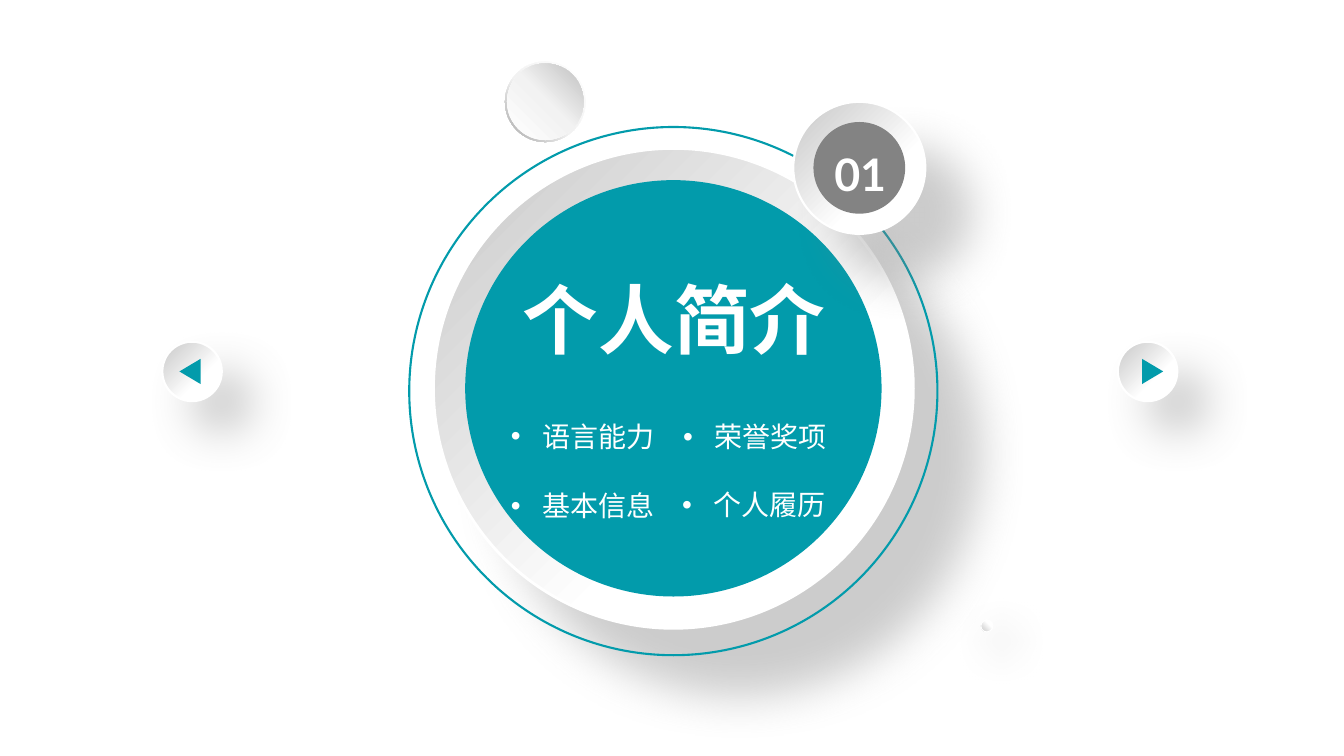
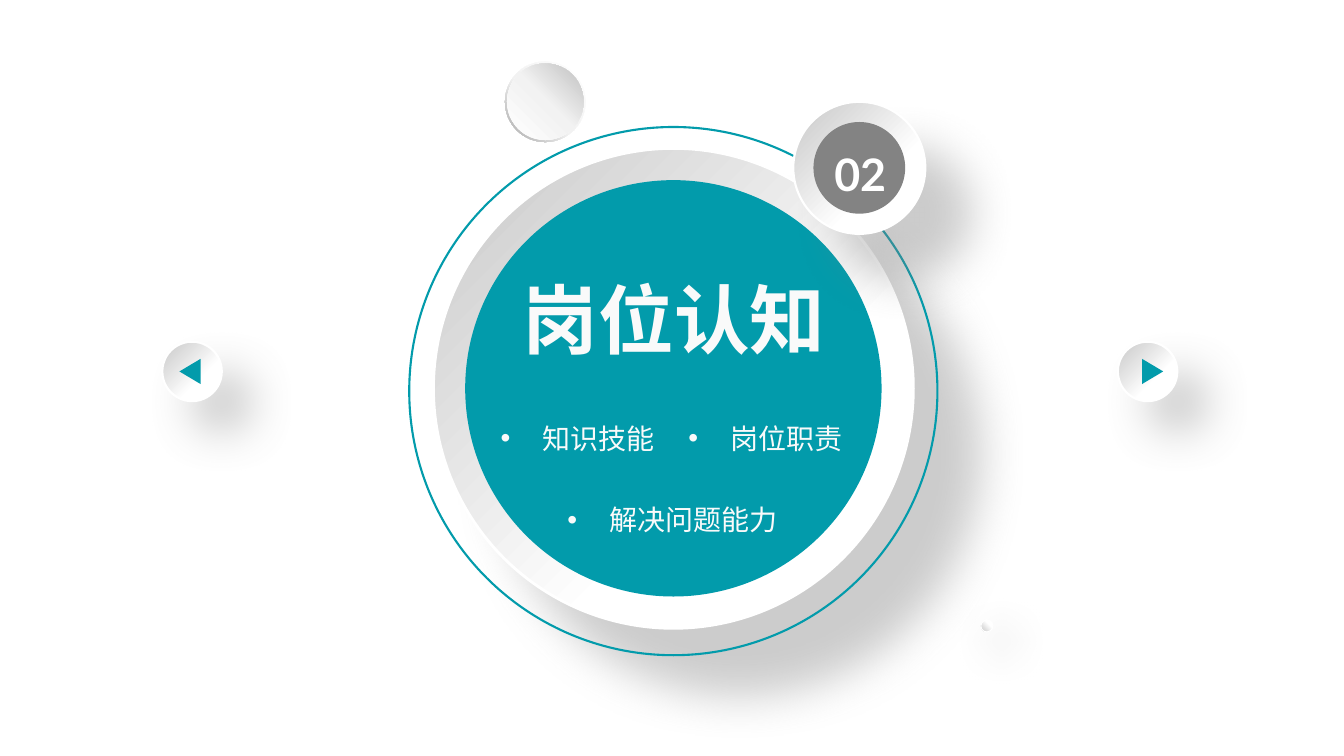
from lxml import etree
from pptx import Presentation
from pptx.dml.color import RGBColor
from pptx.enum.shapes import MSO_SHAPE
from pptx.enum.text import MSO_AUTO_SIZE, PP_ALIGN
from pptx.oxml.ns import qn
from pptx.util import Pt

ELLIPSE = MSO_SHAPE.OVAL
DONUT = MSO_SHAPE.DONUT
TRIANGLE = MSO_SHAPE.ISOSCELES_TRIANGLE
GROW = MSO_AUTO_SIZE.SHAPE_TO_FIT_TEXT

COLORS = {
    "white": "FFFFFF", "soft_white": "F9FAFA", "teal": "029BAB",
    "badge": "838383", "shade": "C7C7C7", "pale": "F2F2F2",
    "rim_shade": "A6A6A6", "bead_shade": "BFBFBF",
    "shadow": "808080", "black": "000000",
}
CJK_FONT, NUMBER_FONT = "Noto Sans CJK SC", "Lato"

# Gradient: stops as (percent, colour), then the clockwise angle
RAISED_STOPS = [(0, "white"), (36, "white"), (100, "shade")]
RAISED = (RAISED_STOPS, 225)
DOT = (RAISED_STOPS, 135)
RIM = ([(0, "white"), (55, "pale"), (100, "rim_shade")], 135)
BEAD = ([(0, "white"), (51, "pale"), (100, "bead_shade")], 315)

CENTER = (481, 277.4)
RING_CENTER = (481, 279.4)
BADGE_CENTER = (613.8, 119.9)
BEAD_CENTER = (389.5, 72.7)
DOT_CENTER = (704.9, 447.1)
BUTTON_Y = 265.3
# Button centre x, arrow centre x, arrow rotation
BUTTONS = [(137.2, 135.7, 270), (819.7, 823.3, 90)]

# Topics: text, left, top, width
SECTIONS = [
    {"number": "01", "title": "个人简介", "color": "white", "indent": 22.5,
     "topics": [("语言能力", 357.8, 296, 140), ("荣誉奖项", 480.8, 296.4, 140),
                ("基本信息", 357.8, 345.6, 140), ("个人履历", 480.2, 345, 140)]},
    {"number": "02", "title": "岗位认知", "color": "soft_white", "indent": 30,
     "topics": [("知识技能", 350.6, 297.4, 140), ("岗位职责", 484.6, 297.2, 140),
                ("解决问题能力", 398.2, 355.7, 166)]},
]


def rgb(name):
    return RGBColor.from_string(COLORS[name])


def add_xml(parent, tag, **attributes):
    values = {key: str(value) for key, value in attributes.items()}
    return etree.SubElement(parent, qn(tag), values)


def apply_gradient(shape, stops, angle):
    shape.fill.gradient()
    shape.fill.gradient_angle = 360 - angle
    stop_list = shape.element.spPr.find(qn("a:gradFill")).find(qn("a:gsLst"))
    for old_stop in list(stop_list):
        stop_list.remove(old_stop)
    for percent, color in stops:
        stop = add_xml(stop_list, "a:gs", pos=percent * 1000)
        add_xml(stop, "a:srgbClr", val=COLORS[color])


def apply_shadow(shape, distance, color="shadow", alpha=40):
    """Cast a soft shadow towards the lower right."""
    effects = shape.element.spPr.find(qn("a:effectLst"))
    outer = add_xml(effects, "a:outerShdw", blurRad=Pt(33), dist=Pt(distance),
                    dir=45 * 60000, algn="tl", rotWithShape=0)
    tint = add_xml(outer, "a:srgbClr", val=COLORS[color])
    add_xml(tint, "a:alpha", val=alpha * 1000)


def add_centered(parent, kind, center, width, height=None, fill=None,
                 line=None, line_width=1.5):
    """Add a shape around its centre; fill is a colour, a gradient or None."""
    height = height or width
    x, y = center
    shape = parent.shapes.add_shape(kind, Pt(x - width / 2), Pt(y - height / 2),
                                    Pt(width), Pt(height))
    shape.shadow.inherit = False
    if fill is None:
        shape.fill.background()
    elif isinstance(fill, str):
        shape.fill.solid()
        shape.fill.fore_color.rgb = rgb(fill)
    else:
        apply_gradient(shape, *fill)
    if line:
        shape.line.color.rgb = rgb(line)
        shape.line.width = Pt(line_width)
    else:
        shape.line.fill.background()
    return shape


def add_raised_disc(parent, center, diameter, distance, line_width=1.5):
    disc = add_centered(parent, ELLIPSE, center, diameter, fill=RAISED,
                        line="white", line_width=line_width)
    apply_shadow(disc, distance)


def add_text(parent, text, box, size, font, color, bold=False, wrap=True,
             align=None, indent=None):
    label = parent.shapes.add_textbox(*(Pt(value) for value in box))
    frame = label.text_frame
    frame.word_wrap = wrap
    frame.auto_size = GROW
    paragraph = frame.paragraphs[0]
    paragraph.alignment = align
    if indent:
        properties = paragraph._p.get_or_add_pPr()
        properties.set("marL", str(Pt(indent)))
        properties.set("indent", str(-Pt(indent)))
        add_xml(properties, "a:buFont", typeface="Arial")
        add_xml(properties, "a:buChar", char="•")
    run = paragraph.add_run()
    run.text = text
    run.font.size = Pt(size)
    run.font.bold = bold
    run.font.color.rgb = rgb(color)
    run.font.name = font
    add_xml(run._r.get_or_add_rPr(), "a:ea", typeface=font)


def add_medallion(slide):
    medallion = slide.shapes.add_group_shape()
    add_raised_disc(medallion, CENTER, 342.8, 66, line_width=2)
    add_centered(medallion, ELLIPSE, CENTER, 297.4, fill="teal")


def add_buttons(slide):
    for button_x, arrow_x, rotation in BUTTONS:
        button = slide.shapes.add_group_shape()
        add_raised_disc(button, (button_x, BUTTON_Y), 42.5, 30)
        arrow = add_centered(button, TRIANGLE, (arrow_x, BUTTON_Y), 18, 15.1,
                             fill="teal")
        arrow.rotation = rotation


def add_badge(slide, number):
    badge = slide.shapes.add_group_shape()
    add_raised_disc(badge, BADGE_CENTER, 94.3, 45)
    add_centered(badge, ELLIPSE, BADGE_CENTER, 65.5, fill="badge")
    add_text(badge, number, (584, 101.5, 61, 46), 32, NUMBER_FONT, "white",
             bold=True, wrap=False, align=PP_ALIGN.CENTER)


def add_bead(slide):
    bead = slide.shapes.add_group_shape()
    rim = add_centered(bead, DONUT, BEAD_CENTER, 57.6, fill=RIM)
    rim.adjustments[0] = 0.05
    add_centered(bead, ELLIPSE, BEAD_CENTER, 54.7, fill=BEAD)


def add_section(presentation, section):
    slide = presentation.slides.add_slide(presentation.slide_layouts[6])
    add_medallion(slide)
    dot = add_centered(slide, ELLIPSE, DOT_CENTER, 8.6, fill=DOT,
                       line="white", line_width=0.75)
    apply_shadow(dot, 15, "black", 45)
    add_buttons(slide)
    add_centered(slide, ELLIPSE, RING_CENTER, 377.3, line="teal")
    add_badge(slide, section["number"])
    add_text(slide, section["title"], (366.5, 191.5, 232, 72.7), 54, CJK_FONT,
             section["color"], bold=True)
    for topic, left, top, width in section["topics"]:
        add_text(slide, topic, (left, top, width, 31.5), 20, CJK_FONT,
                 section["color"], indent=section["indent"])
    add_bead(slide)


def main():
    presentation = Presentation()
    presentation.slide_width = Pt(960)
    presentation.slide_height = Pt(540)
    for section in SECTIONS:
        add_section(presentation, section)
    presentation.save("out.pptx")


if __name__ == "__main__":
    main()
